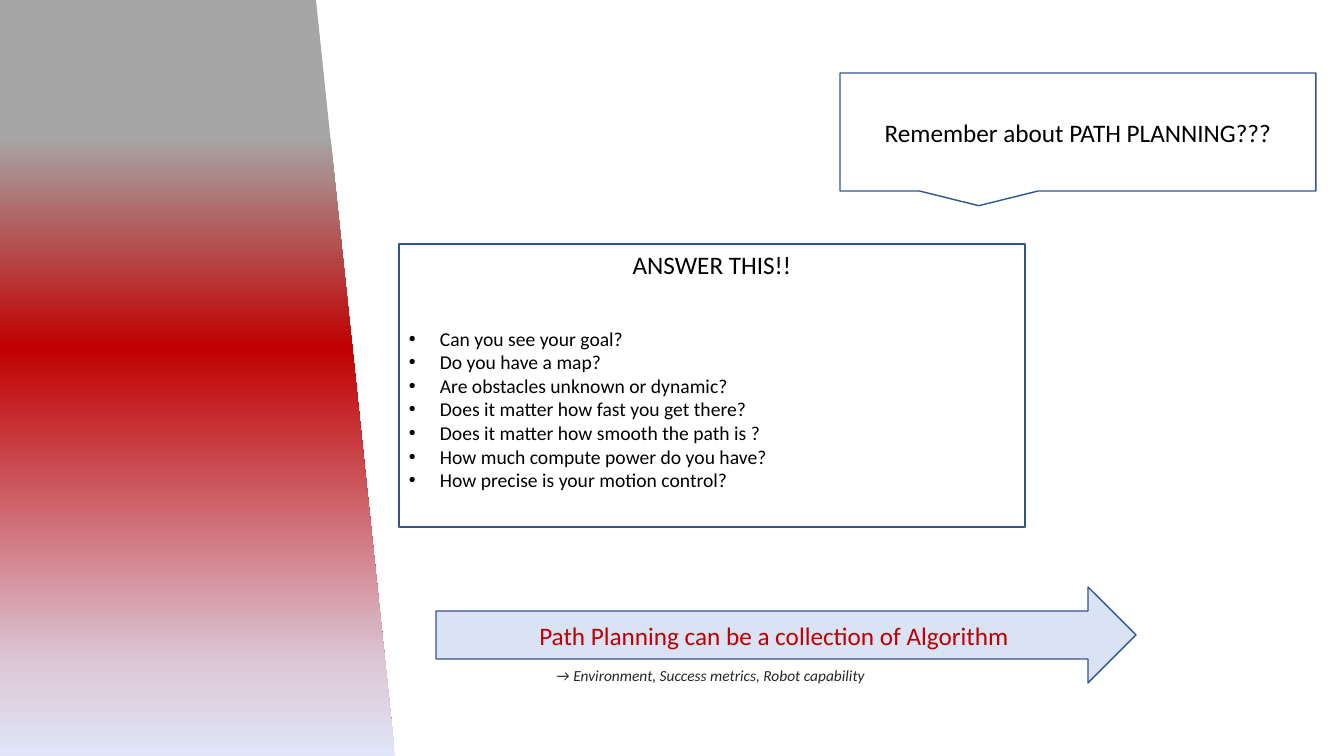
import pptx
import pptx.dml.color
import pptx.enum.shapes
import pptx.enum.text
import pptx.oxml
import pptx.oxml.ns
import pptx.util

SLIDE_WIDTH, SLIDE_HEIGHT = 1344, 756
EMU_PER_PX = 12192000 / SLIDE_WIDTH
FONT = "Calibri"
BLACK, WHITE, RED = "000000", "FFFFFF", "C00000"
OUTLINE = "325491"
PANEL_STOPS = [(18, "A6A6A6"), (46, RED), (88, "DCC9D8"), (100, "E0E5F7")]
QUESTIONS = [
    "Can you see your goal?",
    "Do you have a map?",
    "Are obstacles unknown or dynamic?",
    "Does it matter how fast you get there?",
    "Does it matter how smooth the path is ?",
    "How much compute power do you have?",
    "How precise is your motion control?",
]

SHAPES = pptx.enum.shapes.MSO_SHAPE
ALIGN = pptx.enum.text.PP_ALIGN
ANCHOR = pptx.enum.text.MSO_ANCHOR


def px(length):
    return pptx.util.Emu(round(length * EMU_PER_PX))


def color(value):
    return pptx.dml.color.RGBColor.from_string(value)


def add_bullet(paragraph, indent):
    properties = paragraph._p.get_or_add_pPr()
    properties.set("marL", str(px(indent)))
    properties.set("indent", str(-px(indent)))
    namespace = pptx.oxml.ns.nsdecls("a")
    properties.append(pptx.oxml.parse_xml(f'<a:buFont {namespace} typeface="Arial"/>'))
    properties.append(pptx.oxml.parse_xml(f'<a:buChar {namespace} char="•"/>'))


def write_text(shape, text, size=18, text_color=BLACK, italic=False,
               align=ALIGN.CENTER, bullet=False, space_before=None):
    """Fill the first paragraph if it is free, otherwise append one."""
    frame = shape.text_frame
    paragraph = frame.add_paragraph() if frame.text else frame.paragraphs[0]
    paragraph.alignment = align
    if space_before:
        paragraph.space_before = pptx.util.Pt(space_before)
    if bullet:
        add_bullet(paragraph, 31)
    run = paragraph.add_run()
    run.text = text
    run.font.name = FONT
    run.font.size = pptx.util.Pt(size)
    run.font.italic = italic
    run.font.color.rgb = color(text_color)


def add_box(slide, kind, left, top, width, height, fill=WHITE, line=OUTLINE,
            anchor=ANCHOR.MIDDLE):
    shape = slide.shapes.add_shape(kind, px(left), px(top), px(width), px(height))
    shape.shadow.inherit = False
    shape.fill.solid()
    shape.fill.fore_color.rgb = color(fill)
    shape.line.color.rgb = color(line)
    shape.line.width = pptx.util.Pt(1)
    shape.text_frame.word_wrap = True
    shape.text_frame.vertical_anchor = anchor
    return shape


def add_gradient_panel(slide, points, stops):
    builder = slide.shapes.build_freeform(*points[0], scale=EMU_PER_PX)
    builder.add_line_segments(points[1:], close=True)
    panel = builder.convert_to_shape()
    panel.shadow.inherit = False
    panel.line.fill.background()
    panel.fill.gradient()
    panel.fill.gradient_angle = 270
    stop_list = panel._element.spPr.find(".//" + pptx.oxml.ns.qn("a:gsLst"))
    for old_stop in list(stop_list):
        stop_list.remove(old_stop)
    for percent, value in stops:
        stop_list.append(pptx.oxml.parse_xml(
            f'<a:gs {pptx.oxml.ns.nsdecls("a")} pos="{percent * 1000}">'
            f'<a:srgbClr val="{value}"/></a:gs>'))


def main():
    presentation = pptx.Presentation()
    presentation.slide_width = px(SLIDE_WIDTH)
    presentation.slide_height = px(SLIDE_HEIGHT)
    slide = presentation.slides.add_slide(presentation.slide_layouts[6])

    # Slanted side panel
    add_gradient_panel(
        slide, [(0, 0), (316, 0), (395, SLIDE_HEIGHT), (0, SLIDE_HEIGHT)], PANEL_STOPS)

    # Reminder callout
    callout = add_box(slide, SHAPES.RECTANGULAR_CALLOUT, 840, 73, 476, 118, line="2F5597")
    write_text(callout, "Remember about PATH PLANNING???")

    # Question list
    questions = add_box(slide, SHAPES.RECTANGLE, 399, 244, 626, 283, anchor=ANCHOR.TOP)
    write_text(questions, "ANSWER THIS!!")
    for index, question in enumerate(QUESTIONS):
        write_text(questions, question, size=14, align=ALIGN.LEFT, bullet=True,
                   space_before=34 if index == 0 else None)

    # Conclusion arrow and its note
    arrow = add_box(slide, SHAPES.RIGHT_ARROW, 436, 587, 700, 96, fill="DAE3F3")
    write_text(arrow, "Path Planning can be a collection of Algorithm", text_color=RED)
    note = slide.shapes.add_textbox(px(546), px(661), px(332), px(29))
    note.text_frame.word_wrap = False
    write_text(note, "→ Environment, Success metrics, Robot capability", size=11,
               text_color="262626", italic=True, align=ALIGN.LEFT)

    presentation.save("out.pptx")


if __name__ == "__main__":
    main()
